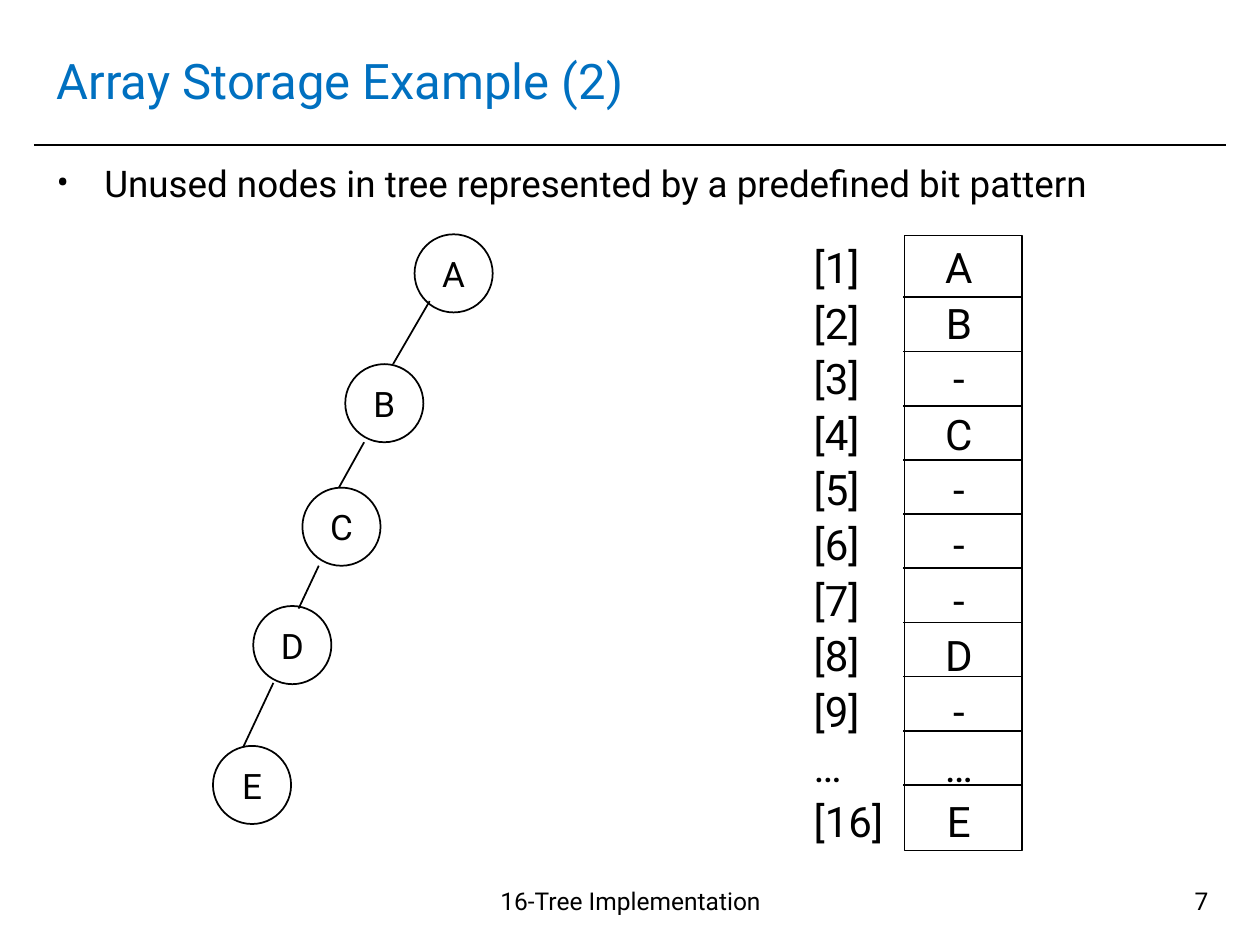
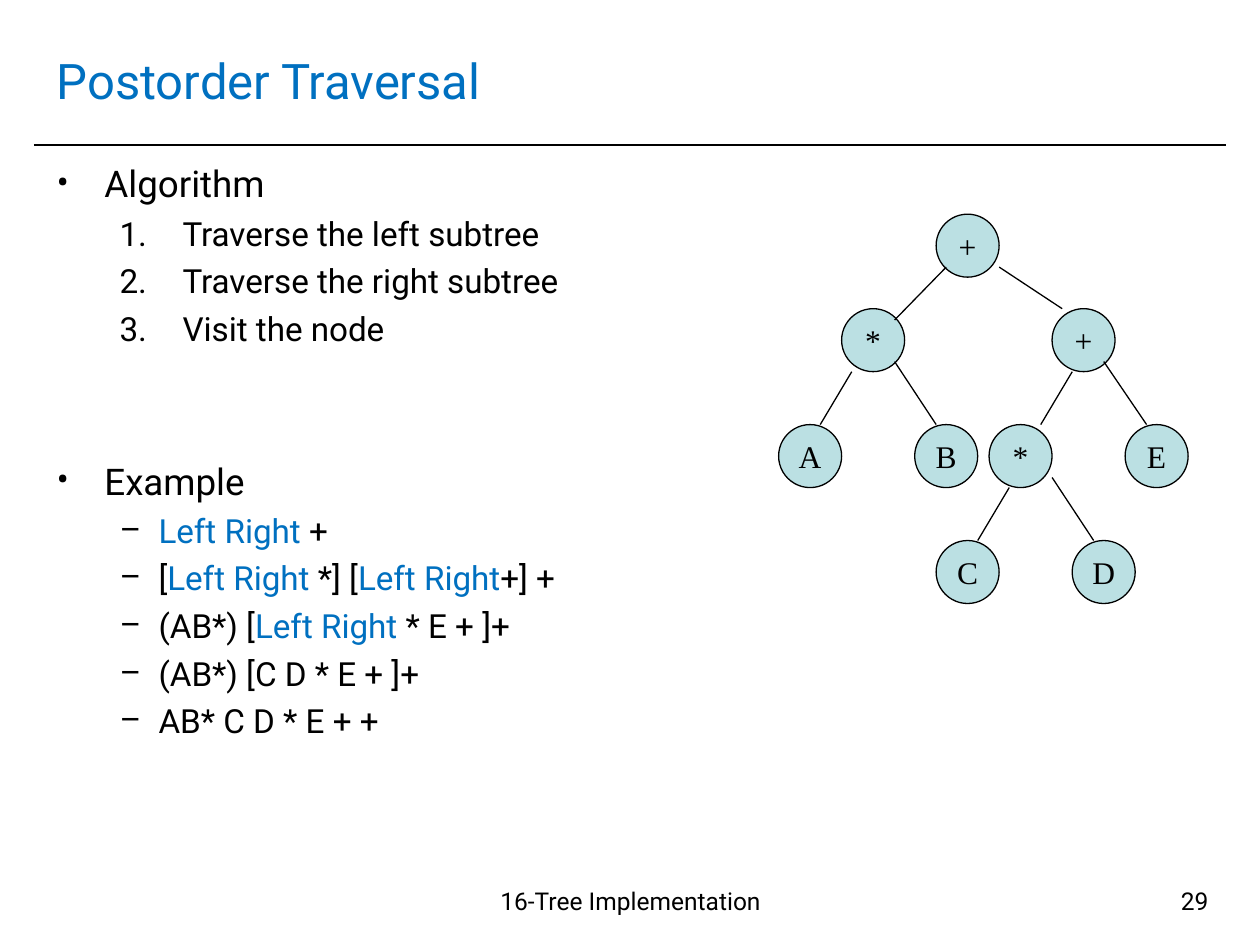
"""Builds two slides on storing and traversing binary trees."""
from lxml import etree
from pptx import Presentation
from pptx import util as u
from pptx.dml import color
from pptx.enum import shapes, text
from pptx.oxml import ns

COLORS = {name: color.RGBColor.from_string(value) for name, value in
          {"ink": "000000", "accent": "0070C0", "node": "BBE0E3"}.items()}
SANS, SERIF = "Roboto", "Times New Roman"
ALIGN = text.PP_ALIGN
FOOTER = "16-Tree Implementation"
SECTION_GAP = u.Pt(63)

BULLETS = {
    "point": {"size": 21, "before": 4.9, "level": 0, "left": 0.38, "hang": 0.38,
              "tag": "a:buChar", "mark": {"char": "•"}},
    "step": {"size": 19, "before": 4.4, "level": 1, "left": 1, "hang": 0.5,
             "tag": "a:buAutoNum", "mark": {"type": "arabicPeriod"}},
    "dash": {"size": 19, "before": 4.4, "level": 1, "left": 0.81, "hang": 0.31,
             "tag": "a:buChar", "mark": {"char": "–"}},
}

PAGES = [
    {
        "title": "Array Storage Example (2)",
        "number": "7",
        "body": [("point", "Unused nodes in tree represented by a predefined bit pattern")],
        "tree": {
            "diameter": 0.62, "fill": None, "weight": 1, "size": 20, "font": SANS,
            "nodes": [("A", 3.29, 1.86), ("B", 2.74, 2.89), ("C", 2.4, 3.87),
                      ("D", 2.01, 4.81), ("E", 1.69, 5.92)],
            "edges": [(3.41, 2.39, 3.12, 2.89), (2.89, 3.51, 2.69, 3.87),
                      (2.53, 4.49, 2.37, 4.83), (2.17, 5.42, 1.93, 5.93)],
        },
        "cells": ["A", "B", "-", "C", "-", "-", "-", "D", "-", "…", "E"],
        "indices": [f"[{index}]" for index in range(1, 10)] + ["…", "[16]"],
    },
    {
        "title": "Postorder Traversal",
        "number": "29",
        "body": [
            ("point", "Algorithm"),
            ("step", "Traverse the left subtree"),
            ("step", "Traverse the right subtree"),
            ("step", "Visit the node"),
            ("point", "Example"),
            ("dash", "|Left Right| +"),
            ("dash", "[|Left Right| *] [|Left Right|+] +"),
            ("dash", "(AB*) [|Left Right| * E + ]+"),
            ("dash", "(AB*) [C D * E + ]+"),
            ("dash", "AB* C D * E + +"),
        ],
        "tree": {
            "diameter": 0.5, "fill": "node", "weight": 0.75, "size": 18, "font": SERIF,
            "nodes": [("+", 7.43, 1.7), ("*", 6.68, 2.45), ("+", 8.35, 2.45),
                      ("A", 6.18, 3.37), ("B", 7.26, 3.37), ("*", 7.85, 3.37),
                      ("E", 8.93, 3.37), ("C", 7.43, 4.29), ("D", 8.51, 4.29)],
            "edges": [(7.51, 2.12, 7.1, 2.54), (7.93, 2.12, 8.43, 2.45),
                      (6.76, 2.95, 6.51, 3.37), (7.1, 2.87, 7.43, 3.37),
                      (8.51, 2.95, 8.26, 3.37), (8.76, 2.87, 9.1, 3.37),
                      (8.01, 3.87, 7.76, 4.29), (8.35, 3.79, 8.68, 4.29)],
        },
    },
]


def write(frame, line, size, ink="ink", font=SANS, **layout):
    """Add a paragraph to a frame; text between bars takes the accent colour."""
    para = frame.add_paragraph() if frame.text else frame.paragraphs[0]
    for name, value in layout.items():
        setattr(para, name, value)
    for place, words in enumerate(line.split("|")):
        if words:
            span = para.add_run()
            span.text = words
            for name, value in {"size": u.Pt(size), "name": font}.items():
                setattr(span.font, name, value)
            span.font.color.rgb = COLORS["accent" if place % 2 else ink]
    return para


def draw_line(parent, ends, weight=1):
    """Draw a plain straight line between two points given in inches."""
    line = parent.add_connector(shapes.MSO_CONNECTOR.STRAIGHT, *map(u.Inches, ends))
    line.line.width = u.Pt(weight)
    line.line.color.rgb = COLORS["ink"]
    etree.SubElement(line._element.spPr, ns.qn("a:effectLst"))


deck = Presentation()
deck.slide_width, deck.slide_height = u.Inches(10), u.Inches(7.5)

for content in PAGES:
    page = deck.slides.add_slide(deck.slide_layouts[5])
    title = page.shapes.title
    for name, value in {"left": 0.35, "top": 0.21, "width": 9.29, "height": 0.85}.items():
        setattr(title, name, u.Inches(value))
    title.text_frame.vertical_anchor = text.MSO_ANCHOR.MIDDLE
    write(title.text_frame, content["title"], 28, "accent", alignment=ALIGN.LEFT)
    draw_line(page.shapes, (0.27, 1.15, 9.73, 1.15))

    for words, left, width, alignment in [(FOOTER, 3.35, 3.31, ALIGN.CENTER),
                                          (content["number"], 7.36, 2.33, ALIGN.RIGHT)]:
        box = page.shapes.add_textbox(*map(u.Inches, (left, 6.98, width, 0.52)))
        box.text_frame.word_wrap = True
        write(box.text_frame, words, 14, alignment=alignment)

    body = page.shapes.add_textbox(*map(u.Inches, (0.35, 1.23, 9.29, 5.59))).text_frame
    body.word_wrap = True
    for kind, words in content["body"]:
        bullet = BULLETS[kind]
        new_section = kind == "point" and body.text
        before = SECTION_GAP if new_section else u.Pt(bullet["before"])
        para = write(body, words, bullet["size"], level=bullet["level"], space_before=before)
        properties = para._p.get_or_add_pPr()
        properties.set("marL", str(u.Inches(bullet["left"])))
        properties.set("indent", str(-u.Inches(bullet["hang"])))
        shade = etree.SubElement(properties, ns.qn("a:buClr"))
        etree.SubElement(shade, ns.qn("a:srgbClr"), val=str(COLORS["ink"]))
        etree.SubElement(properties, ns.qn("a:buFont"), typeface=SANS)
        etree.SubElement(properties, ns.qn(bullet["tag"]), **bullet["mark"])

    tree = content["tree"]
    group = page.shapes.add_group_shape().shapes
    for label, left, top in tree["nodes"]:
        size = tree["diameter"]
        node = group.add_shape(shapes.MSO_SHAPE.OVAL, *map(u.Inches, (left, top, size, size)))
        node.shadow.inherit = False
        if tree["fill"]:
            node.fill.solid()
            node.fill.fore_color.rgb = COLORS[tree["fill"]]
        else:
            node.fill.background()
        node.line.width = u.Pt(tree["weight"])
        node.line.color.rgb = COLORS["ink"]
        for name, value in {"word_wrap": False, "vertical_anchor": text.MSO_ANCHOR.MIDDLE}.items():
            setattr(node.text_frame, name, value)
        write(node.text_frame, label, tree["size"], font=tree["font"], alignment=ALIGN.CENTER)
    for ends in tree["edges"]:
        draw_line(group, ends, tree["weight"])

    if "cells" in content:
        array = page.shapes.add_shape(shapes.MSO_SHAPE.RECTANGLE,
                                      *map(u.Inches, (7.18, 1.87, 0.93, 4.88)))
        array.shadow.inherit = False
        array.fill.background()
        array.line.width = u.Pt(1)
        array.line.color.rgb = COLORS["ink"]
        for row in range(len(content["cells"]) - 1):
            height = 2.36 + 0.43 * row
            draw_line(page.shapes, (7.17, height, 8.12, height))
        for column, left, width, alignment in [("cells", 7.37, 0.48, ALIGN.CENTER),
                                               ("indices", 6.36, 0.83, ALIGN.LEFT)]:
            box = page.shapes.add_textbox(*map(u.Inches, (left, 1.83, width, 4.99)))
            box.text_frame.word_wrap = True
            for words in content[column]:
                write(box.text_frame, words, 24, alignment=alignment, line_spacing=1.1)

deck.save("out.pptx")
